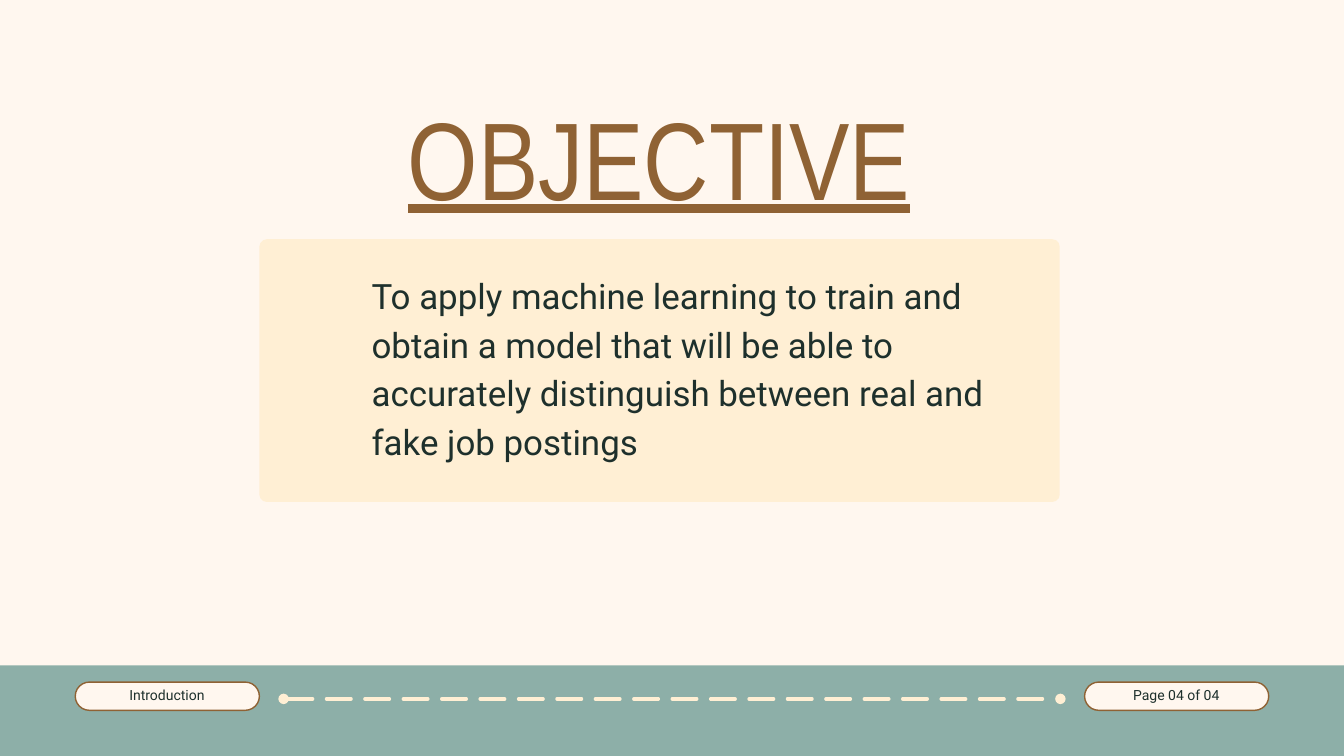
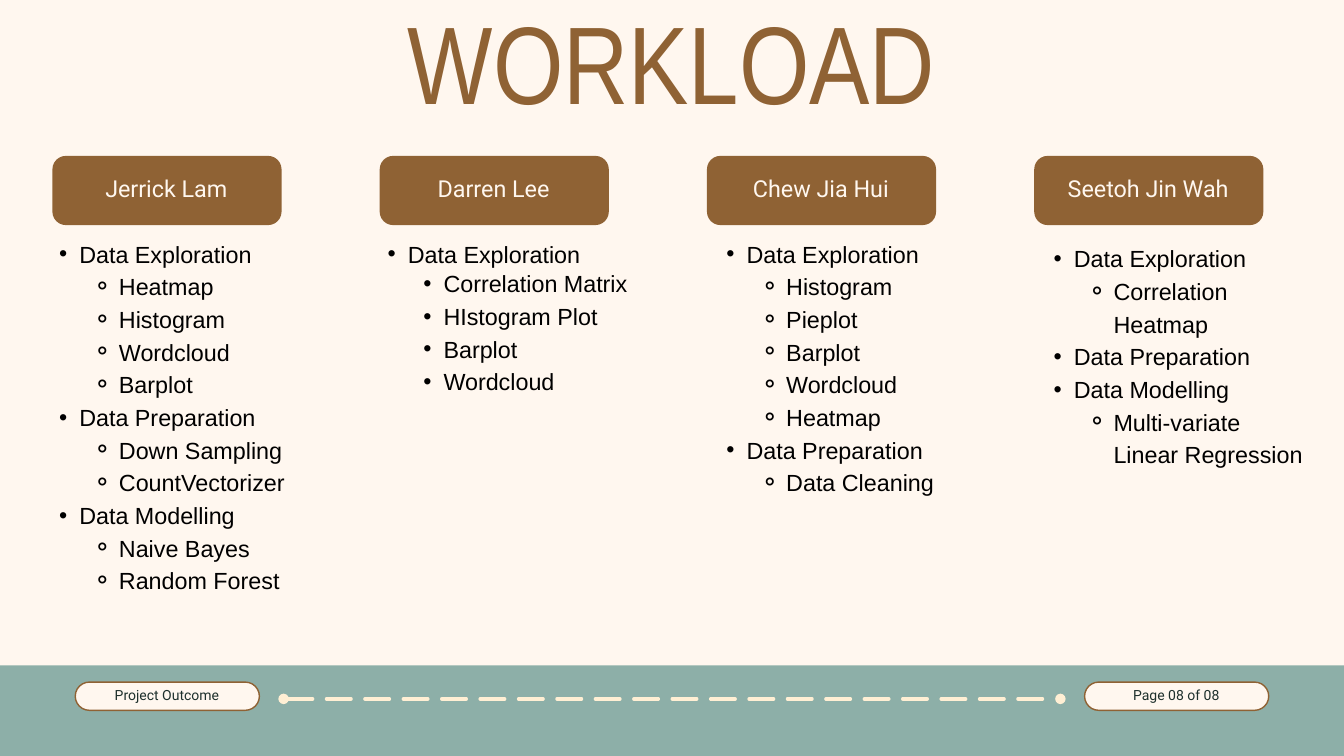
from dataclasses import dataclass

from lxml import etree
from pptx import Presentation
from pptx.dml.color import RGBColor
from pptx.enum import dml, shapes, text
from pptx.oxml.ns import qn
from pptx.util import Inches, Pt


@dataclass(frozen=True)
class Style:
    font: str
    size: float
    leading: float
    color: str
    align: text.PP_ALIGN = text.PP_ALIGN.CENTER
    underline: bool = False


class Theme:
    cream, sand, brown = "FFF7EF", "FFEFD4", "8F6234"
    sage, ink, black = "8DAFA8", "1E302C", "000000"
    title = Style("Arial Narrow", 118.2, 119.4, brown)
    title_underlined = Style("Arial Narrow", 118.2, 119.4, brown, underline=True)
    body = Style("Roboto", 37.4, 52.3, ink, text.PP_ALIGN.LEFT)
    name = Style("Roboto", 25, 35, cream)
    tasks = Style("Arial", 25, 35, black, text.PP_ALIGN.LEFT)
    footer = Style("Roboto", 15, 21, ink)
    # level: (bullet, left margin, hanging indent)
    bullets = {1: ("•", 0.59, -0.3), 2: ("⚬", 1.18, -0.39)}


def add_panel(s, box, fill, radius=0.0, line=None):
    """Draw a filled panel; radius is the corner radius in inches."""
    kind = shapes.MSO_SHAPE.ROUNDED_RECTANGLE if radius else shapes.MSO_SHAPE.RECTANGLE
    sp = s.shapes.add_shape(kind, *map(Inches, box))
    sp.shadow.inherit = False
    if radius:
        sp.adjustments[0] = radius / min(box[2:])
    sp.fill.solid()
    sp.fill.fore_color.rgb = RGBColor.from_string(fill)
    if line:
        sp.line.color.rgb = RGBColor.from_string(line)
        sp.line.width = Pt(1.5)
    else:
        sp.line.fill.background()


def add_text(s, box, items, style):
    """Write (level, text) items, one paragraph each; level 0 has no bullet."""
    tf = s.shapes.add_textbox(*map(Inches, box)).text_frame
    tf.margin_left = tf.margin_right = tf.margin_top = tf.margin_bottom = 0
    tf.word_wrap = True
    tf.auto_size = text.MSO_AUTO_SIZE.SHAPE_TO_FIT_TEXT
    for i, (level, words) in enumerate(items):
        p = tf.add_paragraph() if i else tf.paragraphs[0]
        p.text = words
        p.alignment = style.align
        p.line_spacing = Pt(style.leading)
        if level:
            p.level = level
            char, margin, indent = Theme.bullets[level]
            pPr = p._p.get_or_add_pPr()
            pPr.set("marL", str(Inches(margin)))
            pPr.set("indent", str(Inches(indent)))
            etree.SubElement(pPr, qn("a:buFont"), typeface="Arial")
            etree.SubElement(pPr, qn("a:buChar"), char=char)
        font = p.runs[0].font
        font.name, font.size = style.font, Pt(style.size)
        font.color.rgb = RGBColor.from_string(style.color)
        if style.underline:
            font.underline = True


prs = Presentation()
prs.slide_width, prs.slide_height = Inches(20), Inches(11.25)

# Shared background and footer
for section, page in [("Introduction", "Page 04 of 04"), ("Project Outcome", "Page 08 of 08")]:
    s = prs.slides.add_slide(prs.slide_layouts[6])
    s.background.fill.solid()
    s.background.fill.fore_color.rgb = RGBColor.from_string(Theme.cream)
    add_panel(s, (0, 9.9, 20, 1.35), Theme.sage)
    for left, label in [(1.12, section), (16.14, page)]:
        add_panel(s, (left, 10.15, 2.74, 0.42), Theme.cream, 0.21, Theme.brown)
        add_text(s, (left + 0.2, 10.18, 2.33, 0.32), [(0, label)], Theme.footer)
    track = s.shapes.add_connector(shapes.MSO_CONNECTOR.STRAIGHT,
                                   Inches(4.22), Inches(10.4), Inches(15.78), Inches(10.4))
    track.line.color.rgb = RGBColor.from_string(Theme.sand)
    track.line.width = Pt(3.75)
    track.line.dash_style = dml.MSO_LINE.LONG_DASH
    ln = track.line._get_or_add_ln()
    ln.set("cap", "rnd")
    for end in ("a:headEnd", "a:tailEnd"):
        etree.SubElement(ln, qn(end), type="oval")
    etree.SubElement(track._element.spPr, qn("a:effectLst"))

objective, workload = prs.slides

# Objective
add_text(objective, (4.68, 1.66, 10.26, 1.74), [(0, "OBJECTIVE")], Theme.title_underlined)
add_panel(objective, (3.86, 3.56, 11.91, 3.91), Theme.sand, 0.11)
add_text(objective, (5.53, 3.98, 9.13, 2.94),
         [(0, "To apply machine learning to train and obtain a model that will be able to "
              "accurately distinguish between real and fake job postings")], Theme.body)

# Workload
add_text(workload, (-0.15, 0.23, 20.29, 1.74), [(0, "WORKLOAD")], Theme.title)
for i, member in enumerate(["Jerrick Lam", "Darren Lee", "Chew Jia Hui", "Seetoh Jin Wah"]):
    left = 0.78 + 4.87 * i
    add_panel(workload, (left, 2.32, 3.41, 1.03), Theme.brown, 0.2)
    add_text(workload, (left - 0.39, 2.52, 4.17, 0.52), [(0, member)], Theme.name)

# (left, top, height, tasks with their subtasks)
task_lists = [
    (0.59, 3.5, 5.25, {
        "Data Exploration": ["Heatmap", "Histogram", "Wordcloud", "Barplot"],
        "Data Preparation": ["Down Sampling", "CountVectorizer"],
        "Data Modelling": ["Naive Bayes", "Random Forest"]}),
    (5.48, 3.5, 0.46, {"Data Exploration": []}),
    (6.01, 3.94, 1.9, {
        "Correlation Matrix": [], "HIstogram Plot": [], "Barplot": [], "Wordcloud": []}),
    (10.52, 3.5, 5.25, {
        "Data Exploration": ["Histogram", "Pieplot", "Barplot", "Wordcloud", "Heatmap"],
        "Data Preparation": ["Data Cleaning"]}),
    (15.39, 3.57, 2.86, {
        "Data Exploration": ["Correlation Heatmap"],
        "Data Preparation": [],
        "Data Modelling": ["Multi-variate Linear Regression"]}),
]
for left, top, height, tasks in task_lists:
    items = []
    for task, subtasks in tasks.items():
        items += [(1, task)] + [(2, subtask) for subtask in subtasks]
    add_text(workload, (left, top, 4.11, height), items, Theme.tasks)

prs.save("out.pptx")
